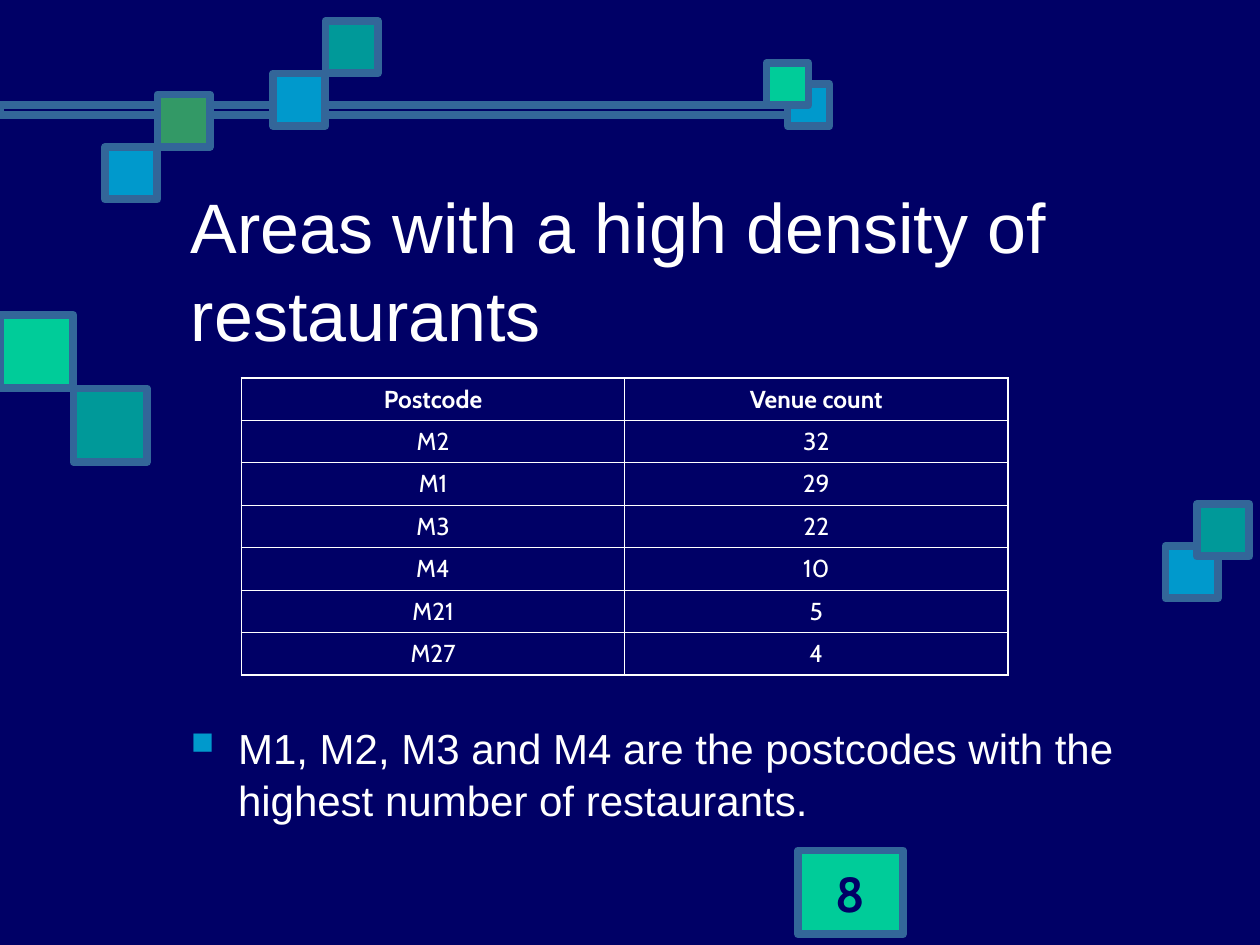
import pptx
import pptx.dml.color
import pptx.enum.shapes
import pptx.enum.text
import pptx.oxml.ns
import pptx.util
from lxml import etree
from pptx.util import Cm, Pt

NAVY, WHITE, STEEL = "000066", "FFFFFF", "336699"
BLUE, MINT, TEAL, GREEN = "0099CC", "00CC99", "009999", "339966"
CENTER = pptx.enum.text.PP_ALIGN.CENTER
MIDDLE = pptx.enum.text.MSO_ANCHOR.MIDDLE
THICK, THIN = 1.08, 0.45


def color(code):
    return pptx.dml.color.RGBColor.from_string(code)


def grid(*units):
    """Turn twelfths of an inch, the grid of this slide, into lengths."""
    return [Cm(unit * 2.54 / 12) for unit in units]


def add_xml(parent, tag, **attributes):
    return etree.SubElement(parent, pptx.oxml.ns.qn(tag), attributes)


class SlideBuilder:
    text_font, accent_font = "Arial", "Cabin"

    def __init__(self, deck):
        self.page = deck.slides.add_slide(deck.slide_layouts[6])
        self.page.background.fill.solid()
        self.page.background.fill.fore_color.rgb = color(NAVY)

    def set_text(self, frame, words, size, font, code=WHITE, bold=False):
        paragraph = frame.paragraphs[0]
        paragraph.text = words
        paragraph.font.size = Pt(size)
        paragraph.font.name = font
        paragraph.font.bold = bold
        paragraph.font.color.rgb = color(code)
        return paragraph

    def block(self, left, top, width, height, fill=None):
        shape = self.page.shapes.add_shape(
            pptx.enum.shapes.MSO_SHAPE.RECTANGLE, *grid(left, top, width, height))
        shape.shadow.inherit = False
        shape.line.color.rgb = color(STEEL)
        shape.line.width = Pt(4.5)
        if fill:
            shape.fill.solid()
            shape.fill.fore_color.rgb = color(fill)
        else:
            shape.fill.background()
        return shape

    def text(self, left, top, width, height, words, size):
        box = self.page.shapes.add_textbox(*grid(left, top, width, height))
        box.text_frame.word_wrap = True
        paragraph = self.set_text(box.text_frame, words, size, self.text_font)
        paragraph.line_spacing = 1.04
        return box

    def bullet(self, paragraph, code, percent, indent):
        properties = paragraph._p.get_or_add_pPr()
        properties.set("marL", str(indent))
        properties.set("indent", str(-indent))
        tint = add_xml(properties, "a:buClr")
        add_xml(tint, "a:srgbClr", val=code)
        add_xml(properties, "a:buSzPct", val=str(percent * 1000))
        add_xml(properties, "a:buChar", char="■")

    def borders(self, cell, widths):
        properties = cell._tc.get_or_add_tcPr()
        for side, width in zip("LRTB", widths):
            line = add_xml(properties, f"a:ln{side}", w=str(Pt(width)))
            add_xml(add_xml(line, "a:solidFill"), "a:srgbClr", val=WHITE)

    def table(self, left, top, width, height, rows):
        last_row, last_column = len(rows) - 1, len(rows[0]) - 1
        table = self.page.shapes.add_table(
            len(rows), len(rows[0]), *grid(left, top, width, height)).table
        for r, row in enumerate(rows):
            for c, words in enumerate(row):
                cell = table.cell(r, c)
                outer = (c == 0, c == last_column, r == 0, r == last_row)
                self.borders(cell, [THICK if edge else THIN for edge in outer])
                cell.fill.background()
                paragraph = self.set_text(cell.text_frame, words, 14,
                                          self.accent_font, bold=r == 0)
                paragraph.alignment = CENTER
                paragraph.space_before = Pt(3.5)


def main():
    deck = pptx.Presentation()
    deck.slide_width, deck.slide_height = Cm(25.4), Cm(19.05)
    slide = SlideBuilder(deck)

    # Decoration: a long bar and squares
    slide.block(0, 10, 77, 1)
    squares = [
        (75, 8, 4, BLUE), (73, 6, 4, MINT),
        (111, 52, 5, BLUE), (114, 48, 5, TEAL),
        (0, 30, 7, MINT), (7, 37, 7, TEAL),
        (26, 7, 5, BLUE), (10, 14, 5, BLUE), (15, 9, 5, GREEN), (31, 2, 5, TEAL),
    ]
    for left, top, side, fill in squares:
        slide.block(left, top, side, side, fill)

    # Title
    title = slide.text(17, 16, 93, 19, "Areas with a high density of restaurants", 40)
    title.text_frame.vertical_anchor = MIDDLE

    # Venue counts
    slide.table(23, 36, 73, 28.3, [
        ("Postcode", "Venue count"),
        ("M2", "32"), ("M1", "29"), ("M3", "22"),
        ("M4", "10"), ("M21", "5"), ("M27", "4"),
    ])

    # Finding
    finding = slide.text(
        17, 68, 93, 12,
        "M1, M2, M3 and M4 are the postcodes with the highest number of restaurants.", 24)
    paragraph = finding.text_frame.paragraphs[0]
    paragraph.space_before = Pt(6)
    slide.bullet(paragraph, BLUE, 75, Cm(0.95))

    # Slide number
    number = slide.block(76, 81, 10, 8, MINT)
    number.text_frame.vertical_anchor = MIDDLE
    paragraph = slide.set_text(number.text_frame, "8", 28, slide.accent_font, NAVY, True)
    paragraph.alignment = CENTER

    deck.save("out.pptx")


if __name__ == "__main__":
    main()
